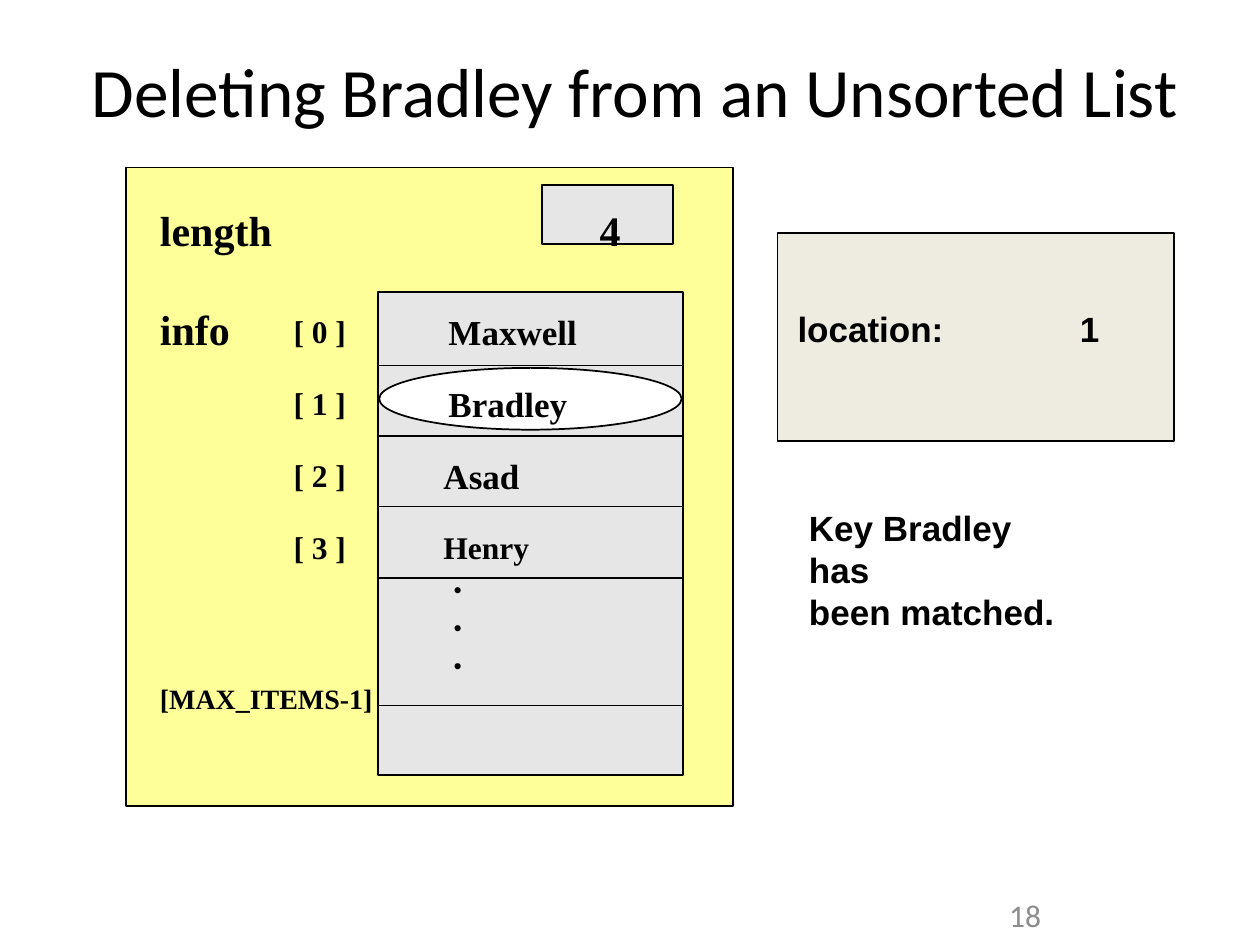
from pptx import Presentation
from pptx.dml.color import RGBColor
from pptx.enum.shapes import MSO_CONNECTOR, MSO_SHAPE
from pptx.enum.text import MSO_ANCHOR, PP_ALIGN
from pptx.oxml.ns import qn
from pptx.util import Inches, Pt
from lxml import etree

RECTANGLE, OVAL = MSO_SHAPE.RECTANGLE, MSO_SHAPE.OVAL
STRAIGHT = MSO_CONNECTOR.STRAIGHT
MIDDLE = MSO_ANCHOR.MIDDLE
CENTER = PP_ALIGN.CENTER
BLACK, CELL = "000000", "E6E6E6"
SERIF, SANS = "Times New Roman", "Arial"
ARRAY_LEFT, ARRAY_TOP, ARRAY_WIDTH, ARRAY_HEIGHT = 3, 2.32, 2.42, 3.83
ROW_PITCH = 0.57


def rgb(color):
    """Turn a hex string into a colour."""
    return RGBColor.from_string(color)


def style_font(paragraph, size, name, color=BLACK, bold=False):
    """Set the font of a whole paragraph."""
    font = paragraph.font
    font.size, font.name, font.bold = Pt(size), name, bold
    font.color.rgb = rgb(color)


def add_panel(slide, kind, left, top, width, height, fill):
    """Add a filled shape with a thin black outline."""
    panel = slide.shapes.add_shape(kind, Inches(left), Inches(top), Inches(width), Inches(height))
    panel.shadow.inherit = False
    panel.fill.solid()
    panel.fill.fore_color.rgb = rgb(fill)
    panel.line.color.rgb = rgb(BLACK)
    panel.line.width = Pt(1)


def add_divider(slide, y):
    """Add a horizontal line across the array."""
    divider = slide.shapes.add_connector(
        STRAIGHT, Inches(ARRAY_LEFT), Inches(y), Inches(ARRAY_LEFT + ARRAY_WIDTH), Inches(y))
    divider.line.color.rgb = rgb(BLACK)
    divider.line.width = Pt(1)
    etree.SubElement(divider.element.spPr, qn("a:effectLst"))


def add_label(slide, text, left, middle, width, size, name=SERIF, color=BLACK, bold=True, height=0.4):
    """Add left-aligned text centred vertically on a given height."""
    label = slide.shapes.add_textbox(
        Inches(left), Inches(middle - height / 2), Inches(width), Inches(height))
    frame = label.text_frame
    frame.word_wrap = True
    frame.vertical_anchor = MIDDLE
    frame.margin_left = frame.margin_right = frame.margin_top = frame.margin_bottom = 0
    frame.text = text
    for paragraph in frame.paragraphs:
        style_font(paragraph, size, name, color, bold)


def add_title(slide, text):
    """Fill and place the title placeholder."""
    title = slide.shapes.title
    title.left, title.top, title.width, title.height = map(Inches, (0.25, 0.42, 9.58, 0.58))
    title.text_frame.text = text
    title.text_frame.vertical_anchor = MIDDLE
    heading = title.text_frame.paragraphs[0]
    heading.alignment = CENTER
    style_font(heading, 39.6, "Calibri")


def add_list(slide):
    """Draw the list record with its length and info array."""
    add_panel(slide, RECTANGLE, 1, 1.33, 4.82, 5.07, "FFFF99")
    add_panel(slide, RECTANGLE, 4.3, 1.47, 1.04, 0.47, CELL)
    add_panel(slide, RECTANGLE, ARRAY_LEFT, ARRAY_TOP, ARRAY_WIDTH, ARRAY_HEIGHT, CELL)
    for y in (2.9, 3.46, 4.02, 4.59, 5.6):
        add_divider(slide, y)
    add_panel(slide, OVAL, 3.01, 2.92, 2.4, 0.49, "FFFFFF")

    add_label(slide, "length", 1.27, 1.82, 1.5, 24)
    add_label(slide, "4", 4.76, 1.82, 0.4, 24)
    add_label(slide, "info", 1.27, 2.61, 0.9, 24)
    items = [("Maxwell", 3.56, 20), ("Bradley", 3.56, 20), ("Asad", 3.52, 20), ("Henry", 3.52, 18)]
    for index, (person, left, size) in enumerate(items):
        middle = 2.63 + index * ROW_PITCH
        add_label(slide, f"[ {index} ]", 2.33, middle, 0.6, 18)
        add_label(slide, person, left, middle, 1.5, size)
    add_label(slide, ".\n.\n.", 3.6, 4.91, 0.3, 18, "Montserrat", height=0.92)
    add_label(slide, "[MAX_ITEMS-1]", 1.27, 5.54, 1.73, 16)


def add_search_state(slide):
    """Draw the location box and the remark on the match."""
    add_panel(slide, RECTANGLE, 6.17, 1.85, 3.15, 1.65, "EEECE1")
    add_label(slide, "location:", 6.33, 2.61, 1.6, 20, SANS)
    add_label(slide, "1", 8.57, 2.61, 0.4, 20, SANS)
    add_label(slide, "Key Bradley has\nbeen matched.", 6.42, 4.52, 2.05, 20, SANS, height=1)


def main():
    """Build and save the slide."""
    deck = Presentation()
    deck.slide_width, deck.slide_height = Inches(10), Inches(7.5)
    slide = deck.slides.add_slide(deck.slide_layouts[5])
    add_title(slide, "Deleting Bradley from an Unsorted List")
    add_search_state(slide)
    add_list(slide)
    add_label(slide, "18", 8.01, 7.26, 1.9, 18, "Calibri", "8C8C8C", bold=False)
    deck.save("out.pptx")


if __name__ == "__main__":
    main()
